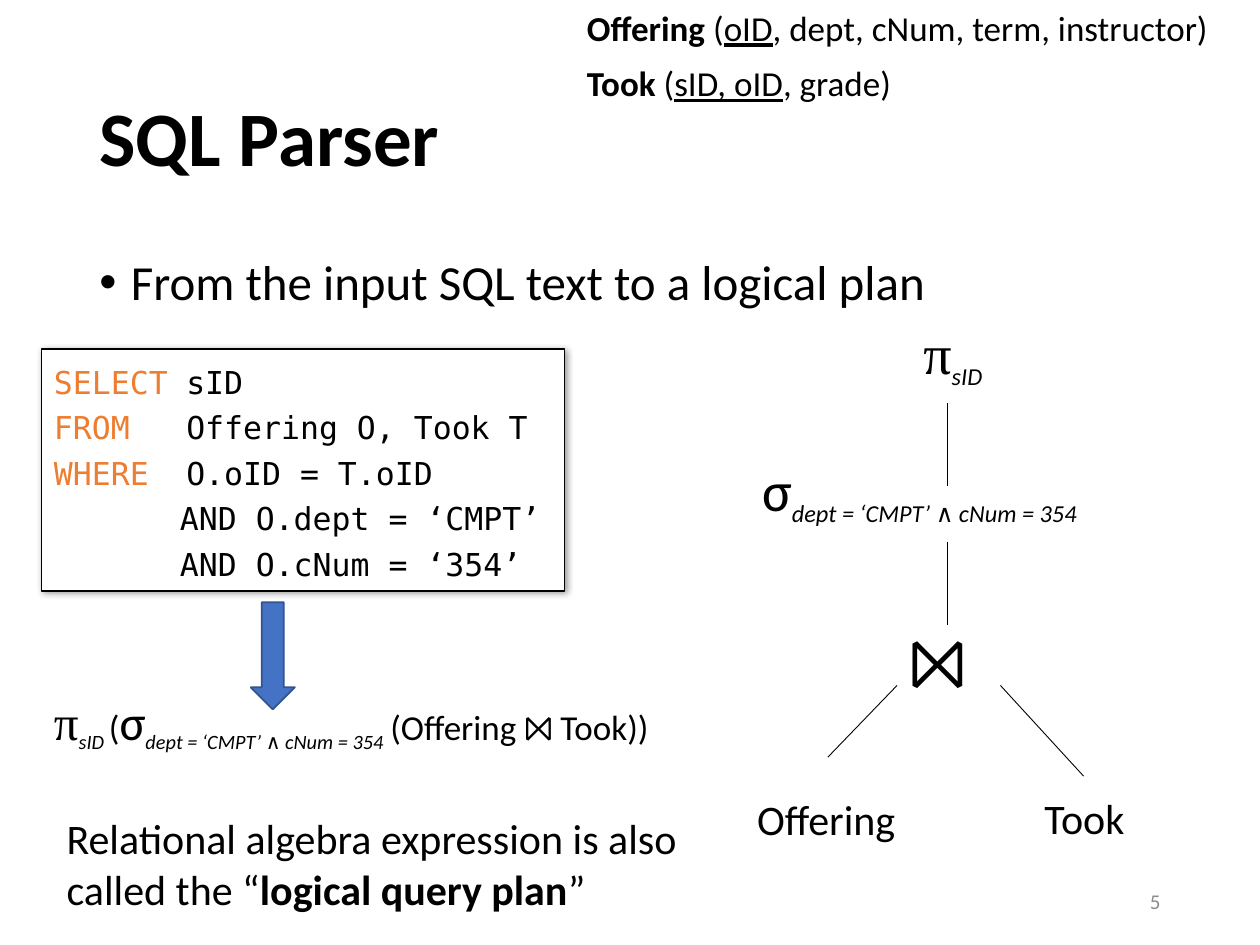
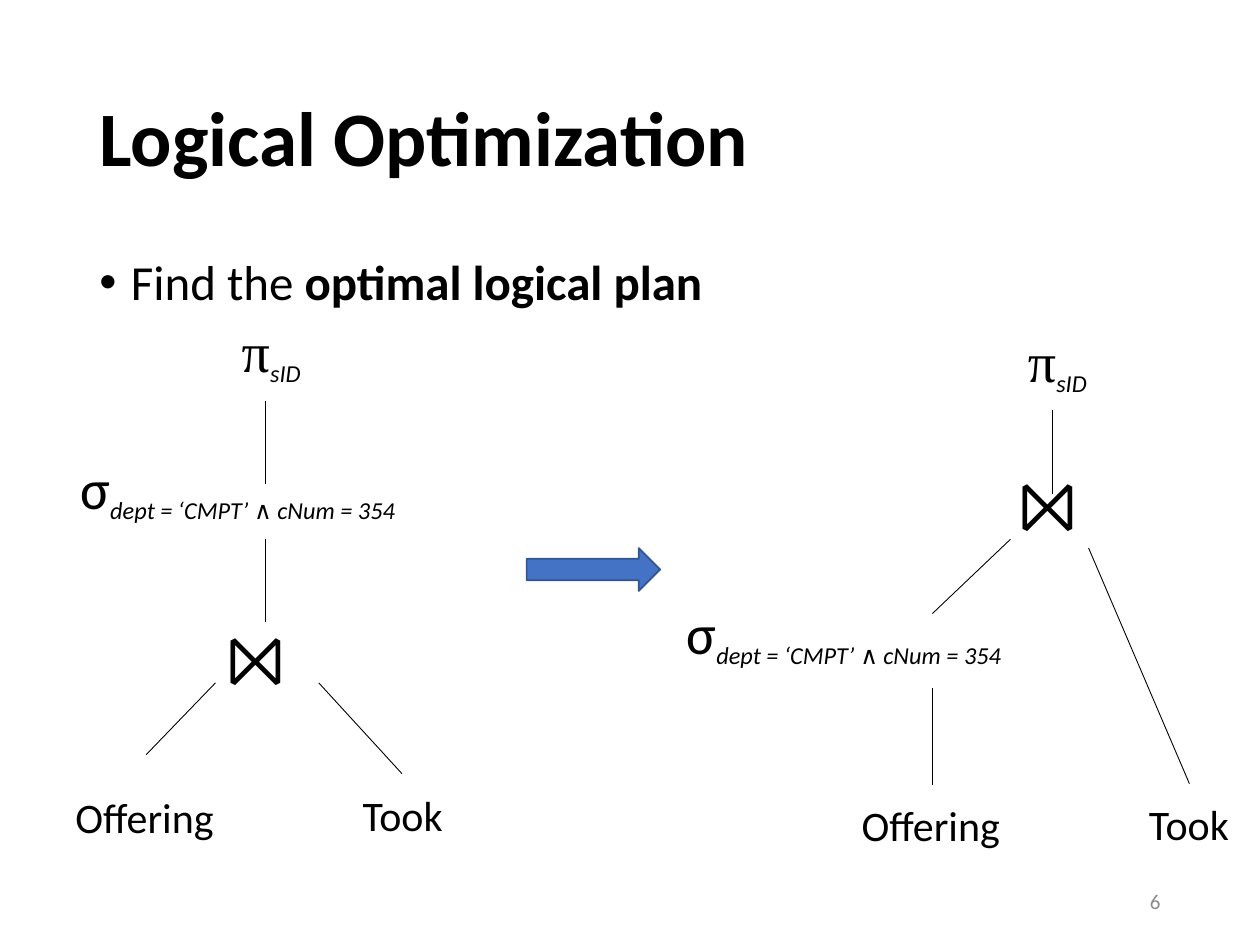
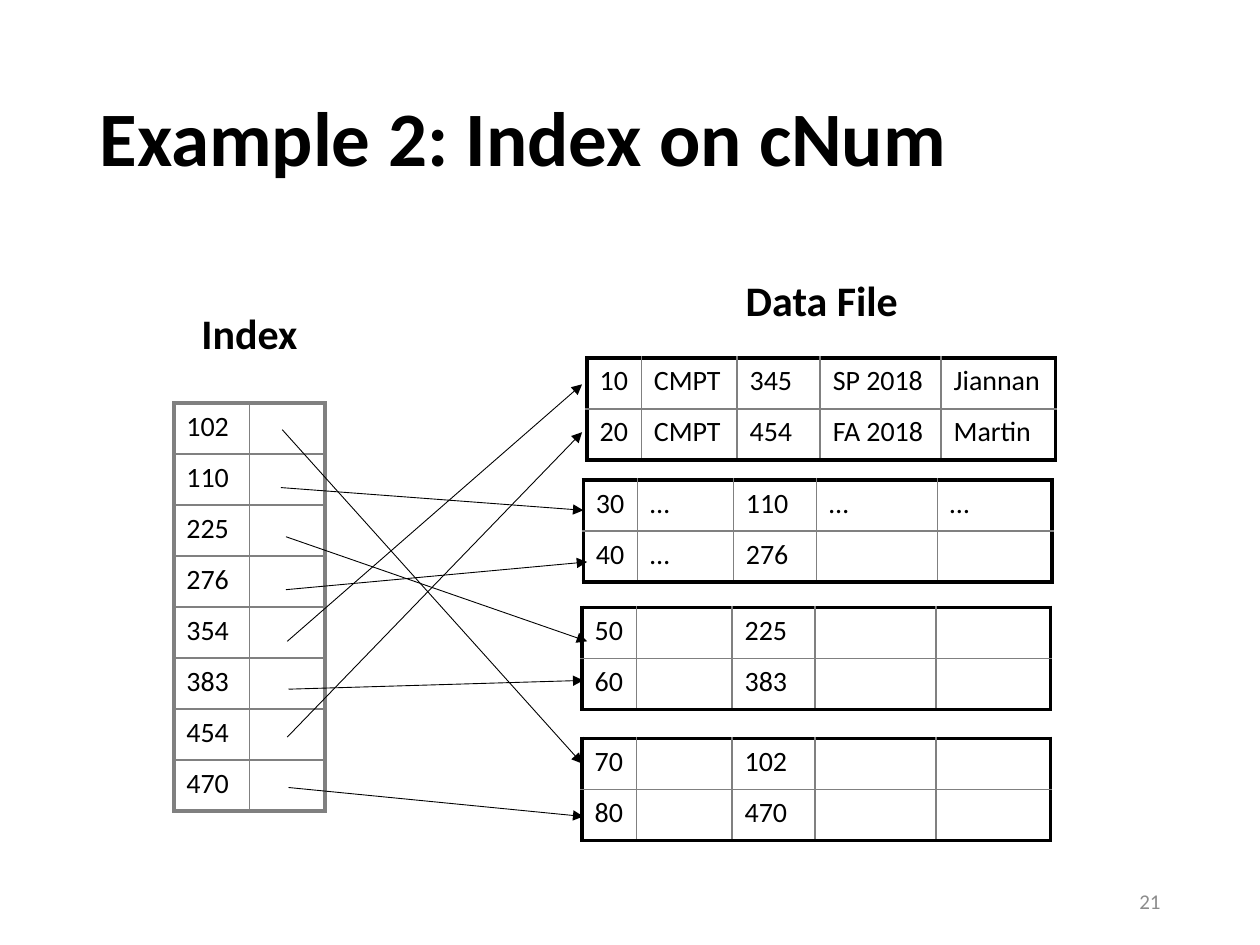
from lxml.etree import SubElement
from pptx import Presentation
from pptx.dml.color import RGBColor
from pptx.enum.shapes import MSO_CONNECTOR, MSO_SHAPE
from pptx.enum.text import MSO_ANCHOR, MSO_AUTO_SIZE, PP_ALIGN
from pptx.oxml.ns import qn
from pptx.util import Inches, Pt

LEFT, RIGHT = PP_ALIGN.LEFT, PP_ALIGN.RIGHT
TOP, MID = MSO_ANCHOR.TOP, MSO_ANCHOR.MIDDLE
GROW, FIXED = MSO_AUTO_SIZE.SHAPE_TO_FIT_TEXT, MSO_AUTO_SIZE.NONE
RECT, ARROW = MSO_SHAPE.RECTANGLE, MSO_SHAPE.DOWN_ARROW
LINE = MSO_CONNECTOR.STRAIGHT

COLS, ROWS = 100, 75
HUES = {"ink": "000000", "paper": "FFFFFF", "key": "ED7D31", "page": "8C8C8C",
        "arrow": "4472C4", "edge": "325491", "rule": "808080"}
SANS, MONO, SERIF = "Calibri", "DejaVu Sans Mono", "Times New Roman"

BOLD, UNDER, SUB = {"bold": True}, {"underline": True}, {"italic": True, "sub": True}
KEY = {"hue": "key"}
TEST = "dept = ‘CMPT’ ∧ cNum = 354"
PI = ("π", {"face": SERIF})

NODES = {
    "pi": (7.8, 6.4, 32, [PI, ("sID ", {**SUB, "size": 24})]),
    "sigma": (31.3, 6.4, 32, [("σ", {}), (TEST, {**SUB, "size": 24}), (" ", SUB)]),
    "join": (7.8, 7.7, 40, [("⨝", {})]),
    "Offering": (13.2, 5, 24, [("Offering", {})]),
    "Took": (8.4, 5, 24, [("Took", {})]),
}
FIRST = {
    "spots": {"pi": (13.2, 0), "sigma": (0.4, 10.9), "join": (12.1, 23.7),
              "Offering": (0, 37.7), "Took": (22.8, 37.6)},
    "links": [(16.1, 7.2, 16.1, 13.8), (16.1, 18.2, 16.1, 24.8),
              (12.1, 29.6, 6.6, 35.3), (20.3, 29.6, 26.9, 36.8)],
}
BEST = {
    "spots": {"pi": (27.1, 0), "sigma": (0, 21.6), "join": (26.4, 10.7),
              "Offering": (13.9, 37.6), "Took": (36.7, 37.5)},
    "links": [(30, 7.1, 30, 13.8), (26.7, 17.4, 20.5, 23.3),
              (20.5, 29.2, 20.5, 36.9), (32.9, 18.1, 40.9, 36.8)],
}

KEYS = [102, 110, 225, 276, 354, 383, 454, 470]
BLOCKS = [
    (46.6, 28.4, [["10", "CMPT", "345", "SP 2018", "Jiannan"],
                  ["20", "CMPT", "454", "FA 2018", "Martin"]]),
    (46.3, 38.1, [["30", "…", "110", "…", "…"], ["40", "…", "276", "", ""]]),
    (46.2, 48.2, [["50", "", "225", "", ""], ["60", "", "383", "", ""]]),
    (46.2, 58.6, [["70", "", "102", "", ""], ["80", "", "470", "", ""]]),
]
WIDTHS = [4.3, 7.6, 6.6, 9.6, 9.1]
HIGH = 4.05
REFS = [(22.4, 34.1, 46.2, 60.6), (22.3, 38.7, 46.3, 40.5),
        (22.7, 42.6, 46.6, 50.9), (22.7, 46.8, 46.6, 44.6),
        (22.8, 50.9, 46.2, 30.5), (22.9, 54.7, 46.3, 54),
        (22.8, 58.5, 46.2, 34.3), (22.9, 62.5, 46.3, 64.8)]


def grid(*cells):
    """Turn grid cells of a tenth of an inch into lengths."""
    return [Inches(round(cell / 10, 3)) for cell in cells]


def hue(name):
    """Give the named colour."""
    return RGBColor.from_string(HUES[name])


def style(font, size, face=SANS, hue_name="ink"):
    """Set the basic look of a font."""
    font.size, font.name = Pt(size), face
    font.color.rgb = hue(hue_name)


def write(para, runs, size, face=SANS, tint="ink", space=None, before=None, align=LEFT):
    """Write styled runs into one paragraph."""
    style(para.font, size, face, tint)
    para.alignment = align
    if space:
        para.line_spacing = space
    if before:
        para.space_before = Pt(before)
    for words, look in runs:
        run = para.add_run()
        run.text = words
        style(run.font, look.get("size", size), look.get("face", face), look.get("hue", tint))
        for trait in ("bold", "italic", "underline"):
            if trait in look:
                setattr(run.font, trait, look[trait])
        if "sub" in look:
            run.font._rPr.set("baseline", "-25000")


def mark(para, tag, **traits):
    """Add an element to the paragraph properties, ahead of its font."""
    props = para._p.get_or_add_pPr()
    node = SubElement(props, qn(tag), **traits)
    props.get_or_add_defRPr().addprevious(node)
    return node


def label(slide, box, paras, size, wrap=True, grow=True, anchor=TOP, **look):
    """Place a text box and fill its paragraphs."""
    frame = slide.shapes.add_textbox(*grid(*box)).text_frame
    frame.word_wrap = wrap
    frame.auto_size = GROW if grow else FIXED
    frame.vertical_anchor = anchor
    for spot, runs in enumerate(paras):
        para = frame.add_paragraph() if spot else frame.paragraphs[0]
        write(para, runs, size, **look)
    return frame


def link(slide, ends, head=False):
    """Draw a thin line, with an arrowhead if asked."""
    wire = slide.shapes.add_connector(LINE, *grid(*ends))
    wire.line.color.rgb = hue("ink")
    wire.line.width = Pt(0.5)
    if head:
        SubElement(wire.line._get_or_add_ln(), qn("a:tailEnd"), type="triangle")
    SubElement(wire._element.spPr, qn("a:effectLst"))


def block(slide, kind, box, fill, edge, width):
    """Place a plain filled shape."""
    shape = slide.shapes.add_shape(kind, *grid(*box))
    shape.shadow.inherit = False
    shape.fill.solid()
    shape.fill.fore_color.rgb = hue(fill)
    shape.line.color.rgb = hue(edge)
    shape.line.width = Pt(width)
    return shape


def arrow(slide, box, turn=0):
    """Place a block arrow, turned by some degrees."""
    block(slide, ARROW, box, "arrow", "edge", 1).rotation = turn


def start(deck, title, page):
    """Add a slide with its title and page number."""
    slide = deck.slides.add_slide(deck.slide_layouts[5])
    head = slide.shapes.title
    head.left, head.top, head.width, head.height = grid(6.9, 4, 86.2, 14.5)
    head.text_frame.vertical_anchor = MID
    write(head.text_frame.paragraphs[0], [(title, BOLD)], 44, space=0.9)
    label(slide, (70.6, 69.5, 22.5, 4), [[(page, {})]], 12, grow=False,
          anchor=MID, tint="page", align=RIGHT)
    return slide


def point(slide, runs):
    """Place the bulleted main point."""
    frame = label(slide, (6.9, 20, 86.2, 47.6), [runs], 28, grow=False,
                  space=0.9, before=10)
    para = frame.paragraphs[0]
    props = para._p.get_or_add_pPr()
    props.set("marL", str(Inches(0.25)))
    props.set("indent", str(-Inches(0.25)))
    mark(para, "a:buFont", typeface="Arial")
    mark(para, "a:buChar", char="•")


def tree(slide, left, top, plan):
    """Draw a query plan tree from its top left corner."""
    for name, (col, row) in plan["spots"].items():
        wide, high, size, runs = NODES[name]
        label(slide, (left + col, top + row, wide, high), [runs], size, wrap=False)
    for x1, y1, x2, y2 in plan["links"]:
        link(slide, (left + x1, top + y1, left + x2, top + y2))


def query(slide, box):
    """Place the SQL text in a box with a soft shadow."""
    shape = block(slide, RECT, box, "paper", "ink", 0.75)
    glow = SubElement(shape._element.spPr.find(qn("a:effectLst")), qn("a:outerShdw"),
                      blurRad=str(Pt(4)), dist=str(Pt(1)), dir="2700000",
                      algn="tl", rotWithShape="0")
    tone = SubElement(glow, qn("a:srgbClr"), val=HUES["ink"])
    SubElement(tone, qn("a:alpha"), val="40000")
    frame = shape.text_frame
    frame.word_wrap, frame.vertical_anchor = True, TOP
    lines = [("SELECT", "sID"), ("FROM", "Offering O, Took T"), ("WHERE", "O.oID = T.oID "),
             ("", "AND O.dept = ‘CMPT’"), ("", "AND O.cNum = ‘354’")]
    for spot, (key, rest) in enumerate(lines):
        para = frame.add_paragraph() if spot else frame.paragraphs[0]
        runs = [(key, KEY)] if key else []
        write(para, runs + [("\t" + rest, {})], 18, MONO, space=Pt(26))
        stop = Inches(1.05 if key else 1)
        SubElement(mark(para, "a:tabLst"), qn("a:tab"), pos=str(stop), algn="l")


def table(slide, left, top, rows, widths, frame):
    """Place a table with a heavy frame and thin inner rules."""
    size = len(rows), len(widths)
    box = grid(left, top, sum(widths), HIGH * len(rows))
    made = slide.shapes.add_table(*size, *box).table
    made.first_row = made.horz_banding = False
    for col, width in zip(made.columns, grid(*widths)):
        col.width = width
    for r, texts in enumerate(rows):
        made.rows[r].height = grid(HIGH)[0]
        for c, words in enumerate(texts):
            cell = made.cell(r, c)
            cell.fill.background()
            write(cell.text_frame.paragraphs[0], [(words, {})] if words else [], 16)
            outer = {"L": c == 0, "R": c == size[1] - 1, "T": r == 0, "B": r == size[0] - 1}
            props = cell._tc.get_or_add_tcPr()
            for spot, (side, heavy) in enumerate(outer.items()):
                edge = SubElement(props, qn("a:ln" + side), w=str(Pt(2.25 if heavy else 1)))
                ink = SubElement(edge, qn("a:solidFill"))
                SubElement(ink, qn("a:srgbClr"), val=HUES[frame if heavy else "rule"])
                props.insert(spot, edge)


def parser(deck):
    """Build the slide on the parser."""
    slide = start(deck, "SQL Parser", "5")
    point(slide, [("From the input SQL text to a logical plan", {})])
    query(slide, (3.3, 27.7, 41.5, 19.2))
    label(slide, (4.3, 64, 51.9, 9.1),
          [[("Relational algebra expression is also called the “", {}),
            ("logical query plan", BOLD), ("”", {})]], 24)
    label(slide, (3.3, 54.4, 53.8, 5.7),
          [[PI, ("sID ", {**SUB, "size": 20}), ("(", {"size": 20}), ("σ", {}),
            (TEST, {**SUB, "size": 20}), (" ", SUB),
            ("(Offering ⨝ Took))", {"size": 20})]], 28, wrap=False)
    arrow(slide, (19.9, 47.8, 3.5, 8.5))
    tree(slide, 59.1, 24.8, FIRST)
    label(slide, (45.6, 0.4, 54.4, 11.2),
          [[("Offering ", BOLD), ("(", {}), ("oID", UNDER),
            (", dept, cNum, term, instructor)", {})],
           [("Took ", BOLD), ("(", {}), ("sID, oID", UNDER), (", grade)", {})]],
          20, grow=False, space=0.9, before=10)


def better(deck):
    """Build the slide on the optimal plan."""
    slide = start(deck, "Logical Optimization", "6")
    point(slide, [("Find the ", {}), ("optimal logical plan", BOLD)])
    tree(slide, 53.5, 25.4, BEST)
    tree(slide, 5, 24.6, FIRST)
    arrow(slide, (45.4, 39.9, 3.4, 10.6), 270)


def index(deck):
    """Build the slide on the index."""
    slide = start(deck, "Example 2: Index on cNum", "21")
    for left, top, rows in BLOCKS:
        table(slide, left, top, rows, WIDTHS, "ink")
    table(slide, 13.8, 32, [[str(key), ""] for key in KEYS], [6, 6], "rule")
    label(slide, (15, 23.9, 9.7, 5), [[("Index", BOLD)]], 24, wrap=False)
    label(slide, (58.2, 21.3, 14.2, 5), [[("Data File", BOLD)]], 24, wrap=False)
    for ends in REFS:
        link(slide, ends, head=True)


deck = Presentation()
deck.slide_width, deck.slide_height = grid(COLS, ROWS)
for build in (parser, better, index):
    build(deck)
deck.save("out.pptx")
